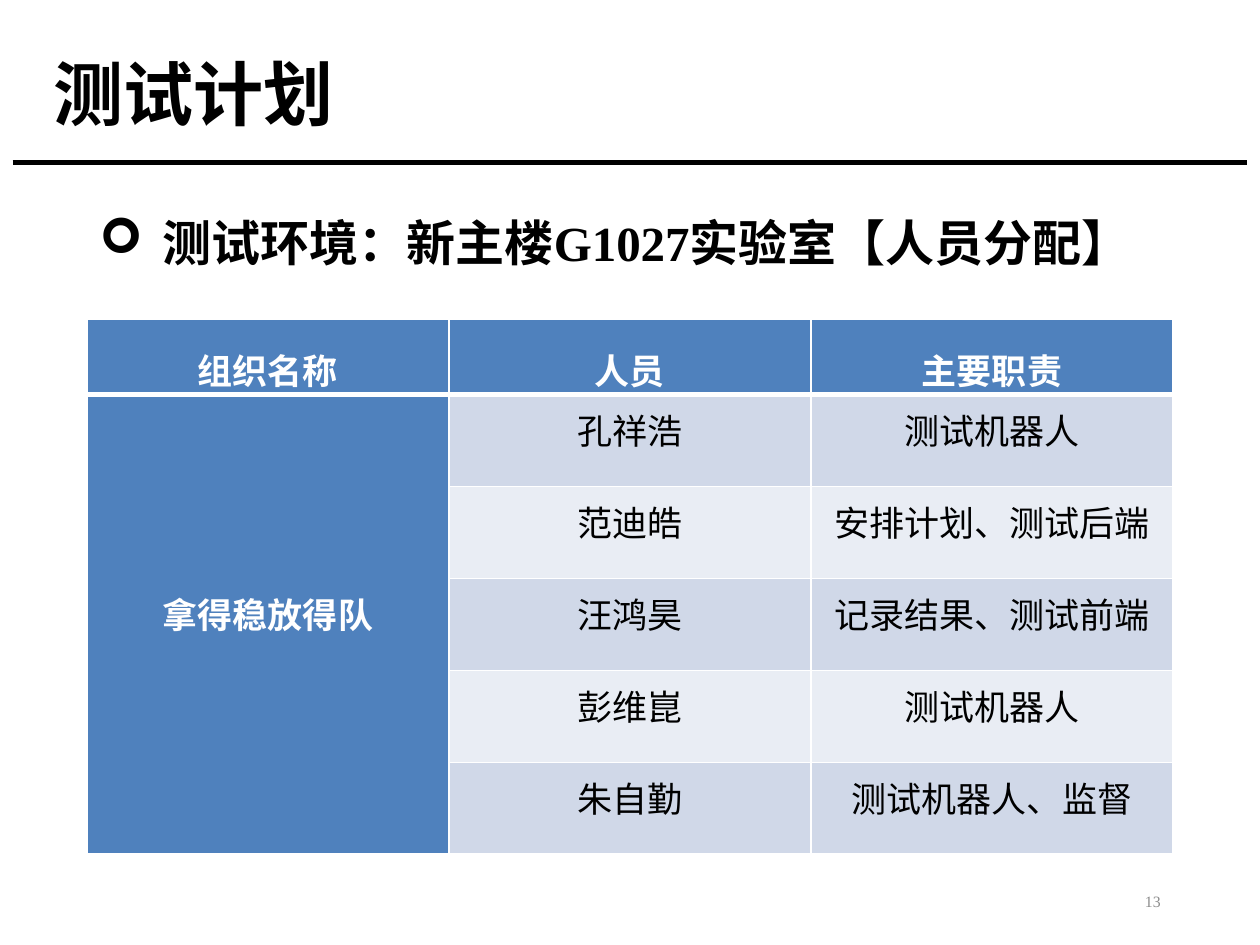
from lxml import etree
from pptx import Presentation
from pptx.dml.color import RGBColor
from pptx.enum import shapes, text
from pptx.oxml.ns import qn
from pptx.util import Inches, Pt

TITLE = "测试计划"
HEADING = "测试环境：新主楼G1027实验室【人员分配】"
PAGE_NUMBER = "13"
HEADERS = ["组织名称", "人员", "主要职责"]
TEAM = "拿得稳放得队"
MEMBERS = [
    ("孔祥浩", "测试机器人"),
    ("范迪皓", "安排计划、测试后端"),
    ("汪鸿昊", "记录结果、测试前端"),
    ("彭维崑", "测试机器人"),
    ("朱自勤", "测试机器人、监督"),
]

BLACK = RGBColor(0x00, 0x00, 0x00)
WHITE = RGBColor(0xFF, 0xFF, 0xFF)
GRAY = RGBColor(0x8C, 0x8C, 0x8C)
BLUE = RGBColor(0x4F, 0x81, 0xBD)
BANDS = [RGBColor(0xD0, 0xD8, 0xE8), RGBColor(0xE9, 0xED, 0xF4)]
SERIF = "Times New Roman"
LEFT, WIDTH = 0.69, 8.62
HEADER_HEIGHT, ROW_HEIGHT = 0.6, 0.73


def style_font(para, size, color, bold=False, name=SERIF):
    font = para.font
    font.size, font.name, font.bold = Pt(size), name, bold
    font.color.rgb = color


def add_text(page, content, left, top, width, height, anchor):
    frame = page.shapes.add_textbox(
        Inches(left), Inches(top), Inches(width), Inches(height)).text_frame
    frame.word_wrap = True
    frame.vertical_anchor = anchor
    para = frame.paragraphs[0]
    para.text = content
    return para


def add_bullet(para, symbol, indent):
    props = para._p.get_or_add_pPr()
    props.set("marL", str(Inches(indent)))
    props.set("indent", str(-Inches(indent)))
    for bullet in (etree.Element(qn("a:buFont"), typeface="Wingdings"),
                   etree.Element(qn("a:buChar"), char=symbol)):
        props.insert_element_before(bullet, "a:tabLst", "a:defRPr", "a:extLst")


def set_borders(cell, bottom):
    """Draw white borders, 1 pt but for the bottom one."""
    props = cell._tc.get_or_add_tcPr()
    for index, (side, points) in enumerate(
            [("L", 1), ("R", 1), ("T", 1), ("B", bottom)]):
        line = etree.Element(qn(f"a:ln{side}"), w=str(Pt(points)))
        fill = etree.SubElement(line, qn("a:solidFill"))
        etree.SubElement(fill, qn("a:srgbClr"), val=str(WHITE))
        props.insert(index, line)


def fill_cell(cell, content, row, column):
    is_header = row == 0
    is_strong = is_header or column == 0
    cell.fill.solid()
    cell.fill.fore_color.rgb = BLUE if is_strong else BANDS[(row - 1) % 2]
    set_borders(cell, bottom=3 if is_header else 1)
    cell.margin_left = cell.margin_right = Inches(0.07)
    cell.margin_top = cell.margin_bottom = 0
    cell.vertical_anchor = text.MSO_ANCHOR.MIDDLE
    para = cell.text_frame.paragraphs[0]
    para.text = content
    para.alignment = text.PP_ALIGN.CENTER
    para.line_spacing = 1.5 if is_header else Pt(16)
    style_font(para, 20, WHITE if is_strong else BLACK, is_strong)


def add_staff_table(page):
    rows = [HEADERS] + [("" if i else TEAM, *member)
                        for i, member in enumerate(MEMBERS)]
    height = HEADER_HEIGHT + ROW_HEIGHT * len(MEMBERS)
    table = page.shapes.add_table(
        len(rows), len(HEADERS), Inches(LEFT), Inches(2.53),
        Inches(WIDTH), Inches(height)).table
    table.horz_banding = False
    for r, row in enumerate(rows):
        table.rows[r].height = Inches(ROW_HEIGHT if r else HEADER_HEIGHT)
        for c, content in enumerate(row):
            fill_cell(table.cell(r, c), content, r, c)
    table.cell(1, 0).merge(table.cell(len(MEMBERS), 0))


def main():
    deck = Presentation()
    deck.slide_width, deck.slide_height = Inches(10), Inches(7.5)
    page = deck.slides.add_slide(deck.slide_layouts[6])

    rule = page.shapes.add_connector(
        shapes.MSO_CONNECTOR.STRAIGHT,
        Inches(0.1), Inches(1.29), Inches(9.9), Inches(1.29))
    rule.line.color.rgb = BLACK
    rule.line.width = Pt(3)
    etree.SubElement(rule._element.spPr, qn("a:effectLst"))

    title = add_text(page, TITLE, 0.33, 0.25, WIDTH, 1.06, text.MSO_ANCHOR.MIDDLE)
    title.line_spacing = 0.9
    style_font(title, 40, BLACK, True, "Calibri")

    heading = add_text(page, HEADING, LEFT, 1.62, WIDTH, 5.59, text.MSO_ANCHOR.TOP)
    heading.line_spacing = Pt(35)
    heading.space_before = Pt(7.5)
    style_font(heading, 28, BLACK, True)
    add_bullet(heading, "➢", 0.5)

    number = add_text(page, PAGE_NUMBER, 7.06, 6.95, 2.25, 0.4, text.MSO_ANCHOR.MIDDLE)
    number.alignment = text.PP_ALIGN.RIGHT
    style_font(number, 9, GRAY)

    add_staff_table(page)
    deck.save("out.pptx")


if __name__ == "__main__":
    main()
